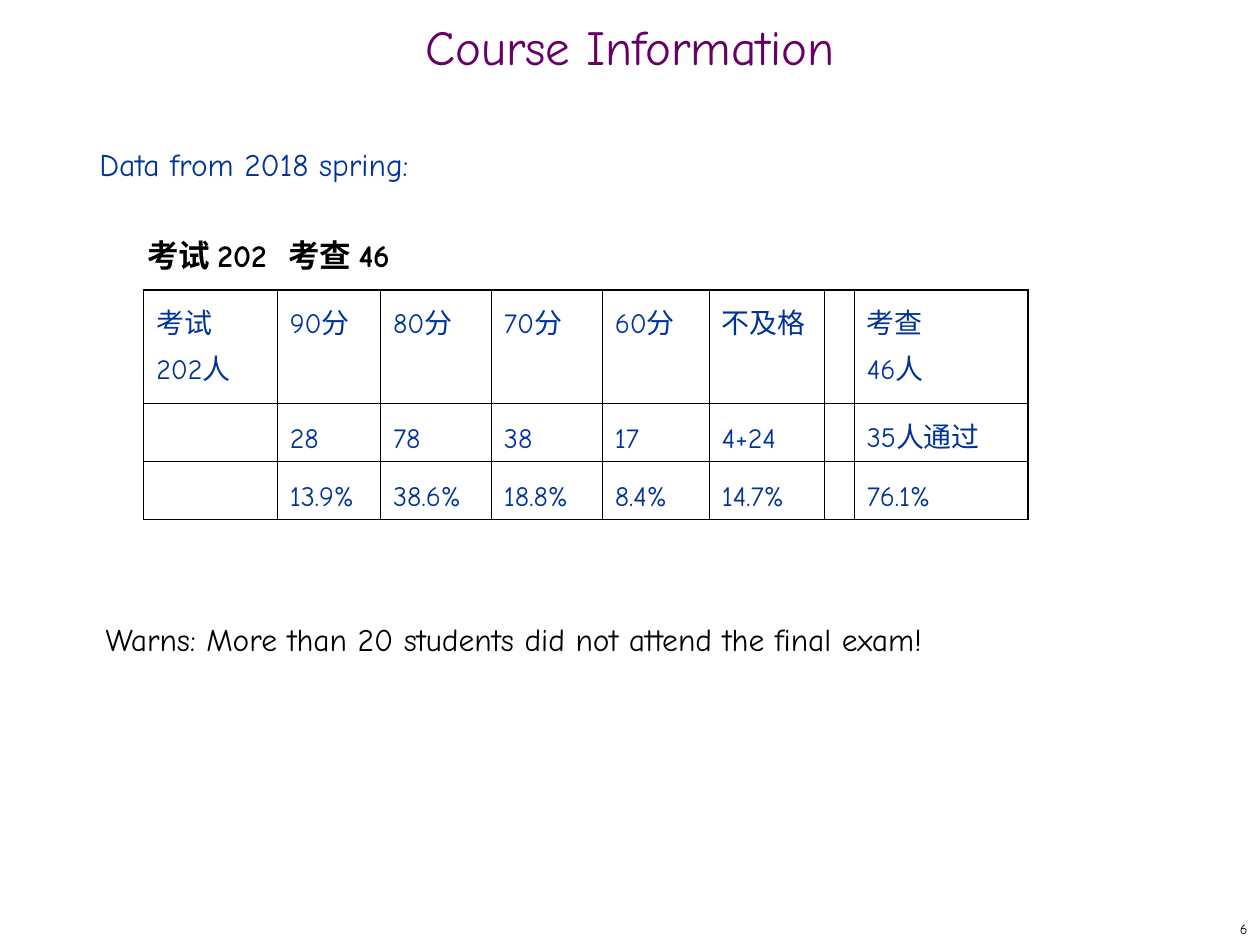
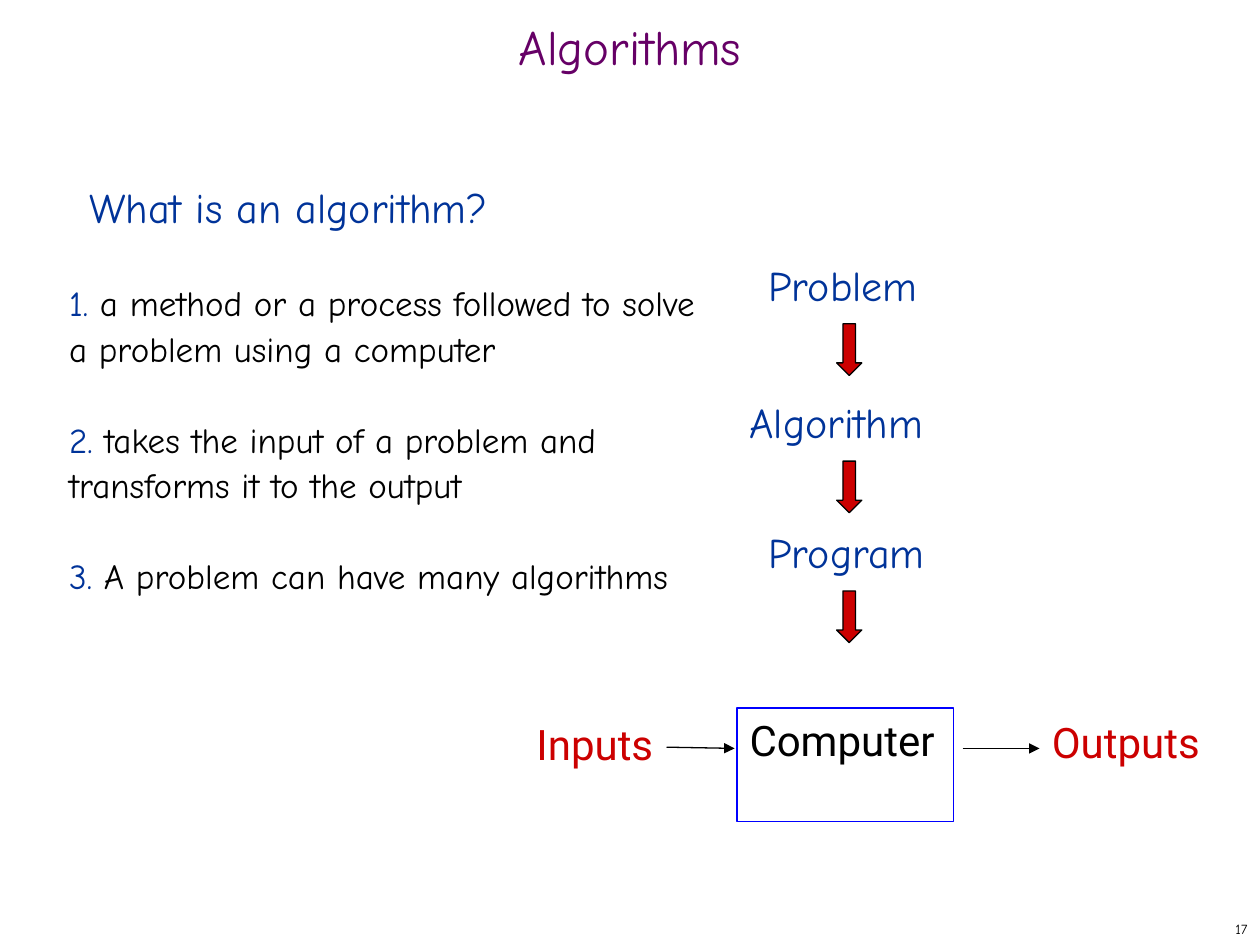
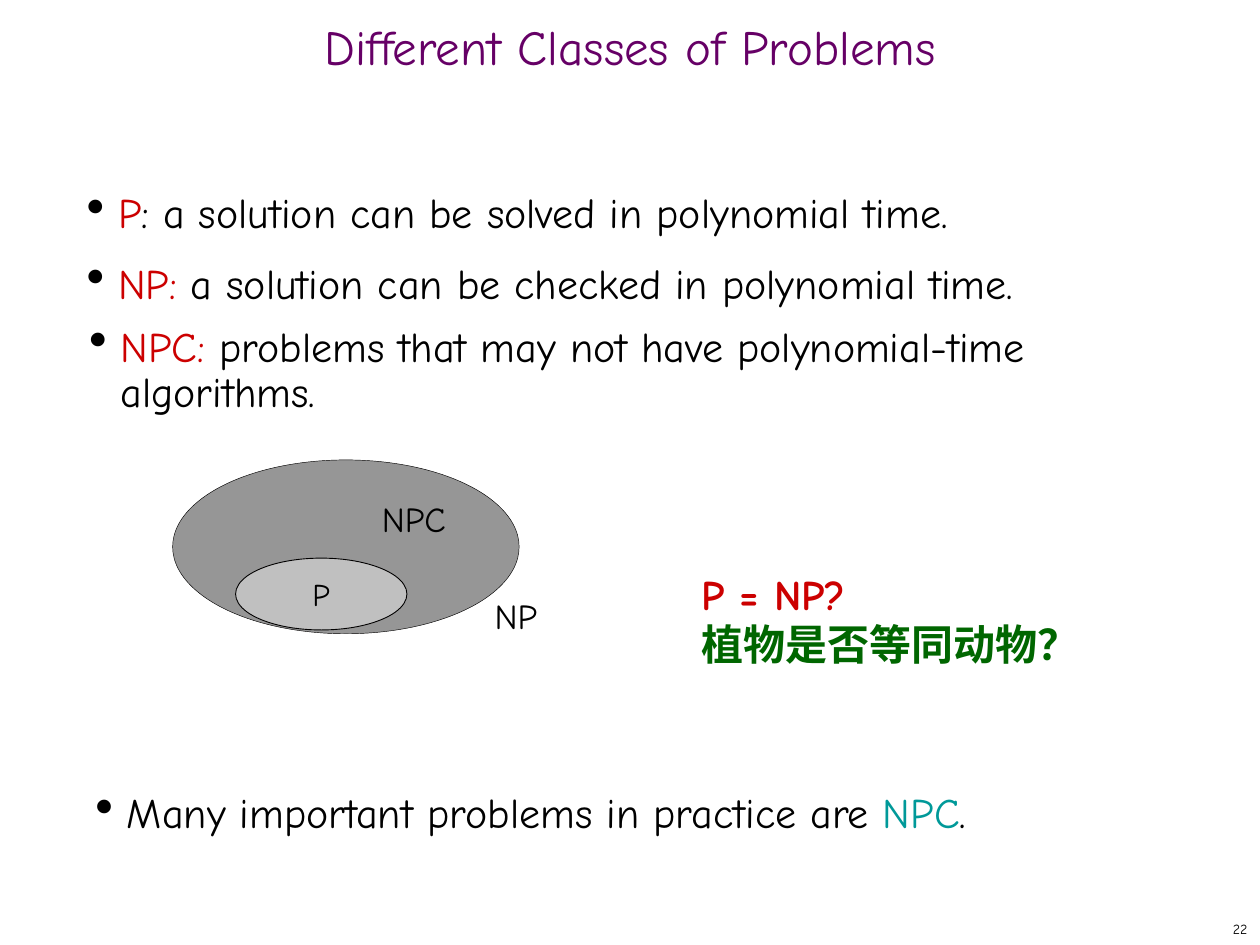
import pptx
import pptx.util
import pptx.dml.color
import pptx.enum.shapes
import pptx.enum.text
import pptx.oxml.ns
import lxml.etree
from dataclasses import dataclass

Inches, Pt = pptx.util.Inches, pptx.util.Pt
SHAPE = pptx.enum.shapes.MSO_SHAPE
ALIGN = pptx.enum.text.PP_ALIGN
ANCHOR = pptx.enum.text.MSO_ANCHOR
qn = pptx.oxml.ns.qn


@dataclass(frozen=True)
class Theme:
    hand: str = "Comic Neue"
    plain: str = "Roboto"
    title: str = "660066"
    blue: str = "003399"
    red: str = "CC0000"
    green: str = "006600"
    teal: str = "009999"
    black: str = "000000"
    frame: str = "0000FF"
    outline: str = "010000"
    outer_set: str = "969696"
    inner_set: str = "C0C0C0"
    title_size: int = 28
    large: int = 24
    medium: int = 20
    normal: int = 18
    cell: int = 16
    number: int = 8
    leading: int = 26      # exact line pitch of running text, points
    thick: float = 1.08
    thin: float = 0.45


T = Theme()
WIDTH, HEIGHT = 10, 7.5

# ---- Content ----
SCORES = [
    ["考试\n202人", "90分", "80分", "70分", "60分", "不及格", "", "考查\n46人"],
    ["", "28", "78", "38", "17", "4+24", "", "35人通过"],
    ["", "13.9%", "38.6%", "18.8%", "8.4%", "14.7%", "", "76.1%"],
]
SCORE_COLUMNS = [1.06, 0.82, 0.88, 0.88, 0.85, 0.91, 0.24, 1.38]
SCORE_ROWS = [0.9, 0.46, 0.46]
ROW_RULES = [T.thick, T.thin, T.thick, T.thick]

FACTS = [
    "a method or a process followed to solve a problem using a computer",
    "takes the input of a problem and transforms it to the output",
    "A problem can have many algorithms",
]
# label, left, top, width
STEPS = [
    ("Problem", 6, 2.01, 1.55),
    ("Algorithm", 5.85, 3.1, 1.78),
    ("Program", 6, 4.13, 1.53),
]
SIGNALS = [("Inputs", 4.16, 5.65, 1.16), ("Outputs", 8.25, 5.64, 1.43)]
FLOWS = [((5.29, 5.93), (5.83, 5.94)), ((7.64, 5.94), (8.25, 5.94))]

# left, top, spans
CLASSES = [
    (0.46, 1.48, [("P", T.red),
                  (": a solution can be solved in polynomial time.", T.black)]),
    (0.46, 2.04, [("NP: ", T.red),
                  ("a solution can be checked in polynomial time.", T.black)]),
    (0.48, 2.54, [("NPC: ", T.red),
                  ("problems that may not have polynomial-time algorithms.", T.black)]),
    (0.53, 6.24, [("Many important problems in practice are ", T.black),
                  ("NPC", T.teal), (".", T.black)]),
]
SET_LABELS = [("NPC", 2.73, 3.9), ("NP", 3.54, 4.67)]


# ---- Shared helpers ----
def rgb(value):
    return pptx.dml.color.RGBColor.from_string(value)


def place(*lengths):
    return [Inches(length) for length in lengths]


def add_spans(para, spans, size, font=T.hand, bold=False):
    """Append (text, colour) runs; a newline becomes a line break."""
    for text, colour in spans:
        for index, line in enumerate(text.split("\n")):
            if index:
                para.add_line_break()
            span = para.add_run()
            span.text = line
            span.font.name = font
            span.font.size = Pt(size)
            span.font.bold = bold
            span.font.color.rgb = rgb(colour)


def fill_frame(frame, paragraphs, size, font=T.hand, bold=False, align=ALIGN.LEFT,
               anchor=ANCHOR.TOP, spacing=None, gap=0):
    """Write a list of span lists as the paragraphs of a text frame."""
    frame.word_wrap = True
    frame.auto_size = pptx.enum.text.MSO_AUTO_SIZE.NONE
    frame.vertical_anchor = anchor
    for index, spans in enumerate(paragraphs):
        para = frame.add_paragraph() if index else frame.paragraphs[0]
        para.alignment = align
        para.space_before = Pt(gap if index else 0)
        if spacing:
            para.line_spacing = spacing
        add_spans(para, spans, size, font, bold)


def add_text(page, box_at, paragraphs, size, **style):
    box = page.shapes.add_textbox(*place(*box_at))
    fill_frame(box.text_frame, paragraphs, size, **style)
    return box


def add_figure(page, kind, box_at, line, weight, fill=None):
    figure = page.shapes.add_shape(kind, *place(*box_at))
    figure.shadow.inherit = False
    if fill:
        figure.fill.solid()
        figure.fill.fore_color.rgb = rgb(fill)
    else:
        figure.fill.background()
    figure.line.color.rgb = rgb(line)
    figure.line.width = Pt(weight)
    return figure


def add_arrow(page, start, end):
    arrow = page.shapes.add_connector(
        pptx.enum.shapes.MSO_CONNECTOR.STRAIGHT, *place(*start, *end))
    arrow.line.color.rgb = rgb(T.black)
    arrow.line.width = Pt(0.75)
    lxml.etree.SubElement(arrow.line._get_or_add_ln(), qn("a:tailEnd"), type="triangle")
    lxml.etree.SubElement(arrow._element.spPr, qn("a:effectLst"))


def set_indent(para, left, first, tab=None, bullet=False):
    props = para._p.get_or_add_pPr()
    props.set("marL", str(Inches(left)))
    props.set("indent", str(Inches(first)))
    if bullet:
        colour = lxml.etree.SubElement(props, qn("a:buClr"))
        lxml.etree.SubElement(colour, qn("a:srgbClr"), val=T.black)
        lxml.etree.SubElement(props, qn("a:buSzPct"), val="125000")
        lxml.etree.SubElement(props, qn("a:buChar"), char="•")
    if tab:
        tabs = lxml.etree.SubElement(props, qn("a:tabLst"))
        lxml.etree.SubElement(tabs, qn("a:tab"), pos=str(Inches(tab)), algn="l")


def set_borders(cell, weights):
    props = cell._tc.get_or_add_tcPr()
    for index, (side, weight) in enumerate(weights.items()):
        rule = lxml.etree.Element(qn(f"a:ln{side}"), w=str(Pt(weight)))
        fill = lxml.etree.SubElement(rule, qn("a:solidFill"))
        lxml.etree.SubElement(fill, qn("a:srgbClr"), val=T.black)
        props.insert(index, rule)


def add_page(deck, title, number):
    page = deck.slides.add_slide(deck.slide_layouts[5])
    heading = page.shapes.title
    heading.left, heading.top, heading.width, heading.height = place(0, 0.17, WIDTH, 0.5)
    fill_frame(heading.text_frame, [[(title, T.title)]], T.title_size,
               align=ALIGN.CENTER, anchor=ANCHOR.MIDDLE, spacing=0.7)
    add_text(page, (WIDTH - 2.08, HEIGHT - 0.25, 2.08, 0.25), [[(number, T.black)]],
             T.number, align=ALIGN.RIGHT, anchor=ANCHOR.MIDDLE)
    return page


# ---- Slides ----
def build_course(deck):
    page = add_page(deck, "Course Information", "6")

    # Heading with the two head counts on a tab stop
    box = add_text(page, (0.69, 1.04, 8.22, 0.56), [[("Data from 2018 spring:", T.blue)]],
                   T.normal, spacing=Pt(T.leading))
    counts = box.text_frame.add_paragraph()
    set_indent(counts, 0, 0.38, tab=4.11)
    counts.line_spacing = counts.space_before = Pt(T.leading)
    add_spans(counts, [("考试 202\t考查 46", T.black)], T.normal, bold=True)

    # Score table
    table = page.shapes.add_table(
        len(SCORE_ROWS), len(SCORE_COLUMNS),
        *place(1.14, 2.3, sum(SCORE_COLUMNS), sum(SCORE_ROWS))).table
    table.first_row = table.horz_banding = False
    for column, width in zip(table.columns, SCORE_COLUMNS):
        column.width = Inches(width)
    last = len(SCORE_COLUMNS) - 1
    for r, (values, height) in enumerate(zip(SCORES, SCORE_ROWS)):
        table.rows[r].height = Inches(height)
        for c, value in enumerate(values):
            cell = table.cell(r, c)
            cell.fill.background()
            set_borders(cell, {
                "L": T.thin if c else T.thick,
                "R": T.thick if c == last else T.thin,
                "T": ROW_RULES[r],
                "B": ROW_RULES[r + 1],
            })
            para = cell.text_frame.paragraphs[0]
            para.line_spacing = Pt(T.leading)
            if value:
                add_spans(para, [(value, T.blue)], T.cell)
            else:
                para.font.size = Pt(T.cell)

    add_text(page, (0.74, 4.81, 8.22, 0.56),
             [[("Warns: More than 20 students did not attend the final exam!", T.black)]],
             T.normal, spacing=Pt(T.leading))


def build_algorithms(deck):
    page = add_page(deck, "Algorithms", "17")
    add_text(page, (0.61, 1.39, 6.44, 0.5), [[("What is an algorithm?", T.blue)]], T.large)
    facts = [[(f"{n}.", T.blue), (f" {fact}", T.black)] for n, fact in enumerate(FACTS, 1)]
    add_text(page, (0.45, 2.16, 5.27, 3.61), facts, T.medium,
             spacing=Pt(T.leading), gap=T.leading)

    # Steps from problem to program, each with a block arrow below
    for label, left, top, width in STEPS:
        add_text(page, (left, top, width, 0.5), [[(label, T.blue)]], T.large)
        add_figure(page, SHAPE.DOWN_ARROW, (6.64, top + 0.56, 0.2, 0.41),
                   T.black, 0.75, T.red)

    # Computer with its inputs and outputs
    computer = add_figure(page, SHAPE.RECTANGLE, (5.85, 5.62, 1.72, 0.9), T.frame, 0.75)
    fill_frame(computer.text_frame, [[("Computer", T.black)]], T.large, font=T.plain)
    for label, left, top, width in SIGNALS:
        add_text(page, (left, top, width, 0.9), [[(label, T.red)]], T.large, font=T.plain)
    for start, end in FLOWS:
        add_arrow(page, start, end)


def build_classes(deck):
    page = add_page(deck, "Different Classes of Problems", "22")
    for left, top, spans in CLASSES:
        box = add_text(page, (left, top, 8.83, 0.9), [], T.large)
        para = box.text_frame.paragraphs[0]
        set_indent(para, 0.38, -0.25, bullet=True)
        para.line_spacing = 0.9
        add_spans(para, spans, T.large)

    # Nested sets
    add_figure(page, SHAPE.OVAL, (1.37, 3.65, 2.75, 1.38), T.outline, 0.25, T.outer_set)
    inner = add_figure(page, SHAPE.OVAL, (1.87, 4.43, 1.36, 0.57),
                       T.outline, 0.5, T.inner_set)
    fill_frame(inner.text_frame, [[("P", T.black)]], T.normal,
               align=ALIGN.CENTER, anchor=ANCHOR.MIDDLE)
    for label, left, top in SET_LABELS:
        add_text(page, (left, top, 1.11, 0.44), [[(label, T.black)]], T.medium,
                 align=ALIGN.CENTER)

    # Open question
    add_text(page, (5.47, 4.46, 3.37, 0.9),
             [[("P = NP?", T.red)], [("植物是否等同动物？", T.green)]], T.large, bold=True)


def main():
    deck = pptx.Presentation()
    deck.slide_width, deck.slide_height = place(WIDTH, HEIGHT)
    build_course(deck)
    build_algorithms(deck)
    build_classes(deck)
    deck.save("out.pptx")


if __name__ == "__main__":
    main()
